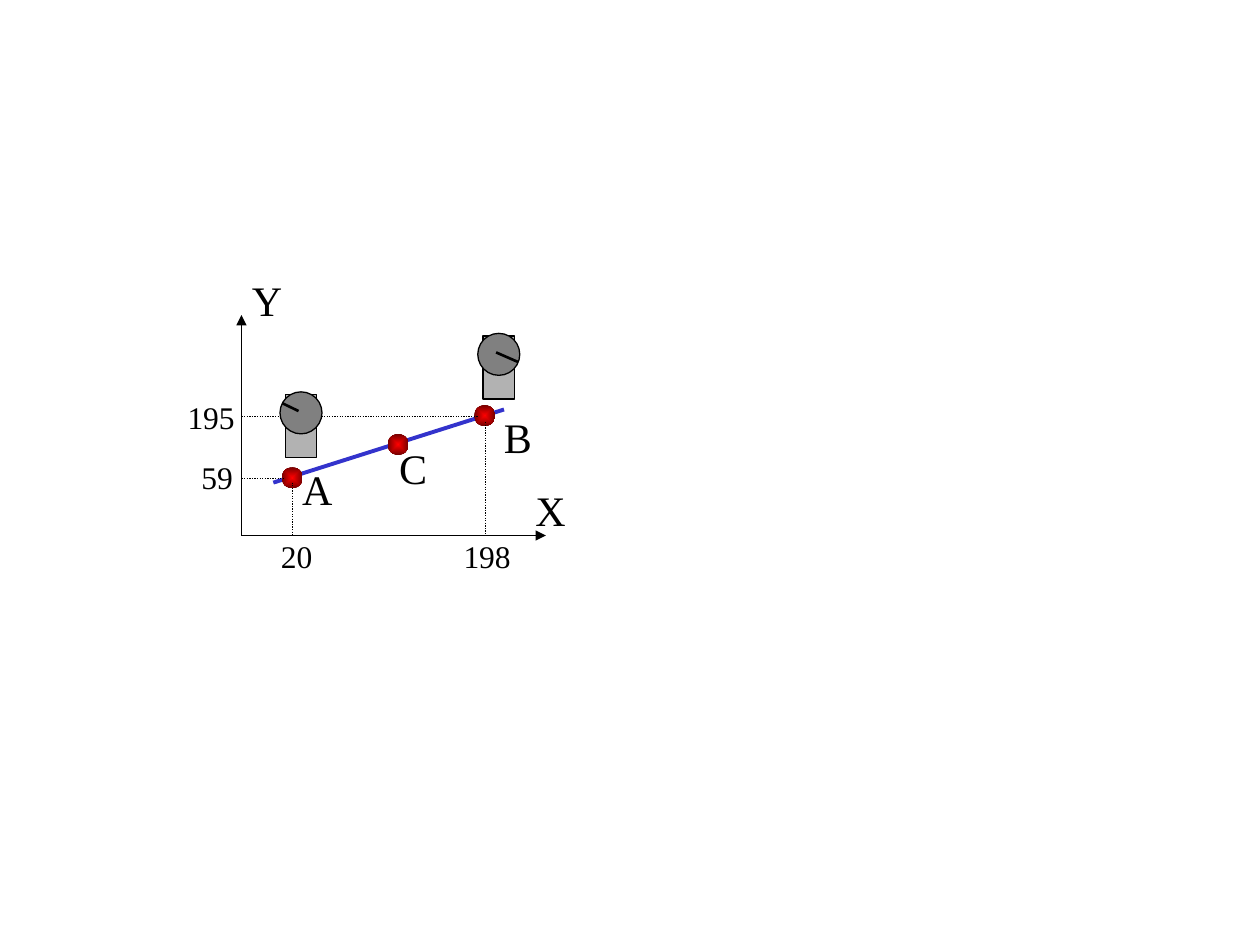
from lxml import etree
from pptx import Presentation
from pptx.dml.color import RGBColor
from pptx.enum.dml import MSO_LINE
from pptx.enum.shapes import MSO_CONNECTOR, MSO_SHAPE
from pptx.enum.text import MSO_AUTO_SIZE
from pptx.oxml.ns import qn
from pptx.util import Pt

STRAIGHT = MSO_CONNECTOR.STRAIGHT
RECT = MSO_SHAPE.RECTANGLE
OVAL = MSO_SHAPE.OVAL
DOTTED = MSO_LINE.ROUND_DOT
FIT = MSO_AUTO_SIZE.SHAPE_TO_FIT_TEXT

FONT = "Times New Roman"
BLACK = "000000"
BLUE = "3333CC"
LEFT, BASE = 138, 306
DOT = 12
DIAL = 24


def paint(color, code):
    color.rgb = RGBColor.from_string(code)


def add_line(slide, start, end, width=0.75, code=BLACK, dash=None, arrow=False):
    line = slide.shapes.add_connector(STRAIGHT, *map(Pt, start + end))
    line.line.width = Pt(width)
    paint(line.line.color, code)
    if dash:
        line.line.dash_style = dash
    if arrow:
        etree.SubElement(line.line._get_or_add_ln(), qn("a:tailEnd"), type="triangle")
    etree.SubElement(line._element.spPr, qn("a:effectLst"))


def add_form(slide, kind, left, top, width, height, code):
    form = slide.shapes.add_shape(kind, Pt(left), Pt(top), Pt(width), Pt(height))
    form.shadow.inherit = False
    form.fill.solid()
    paint(form.fill.fore_color, code)
    form.line.width = Pt(0.75)
    paint(form.line.color, BLACK)
    return form


def add_dot(slide, left, top):
    dot = add_form(slide, OVAL, left, top, DOT, DOT, "FF0000")
    dot.line.fill.background()
    dot.fill.gradient()
    for stop, code in zip(dot.fill.gradient_stops, ("FF0000", "750000")):
        paint(stop.color, code)
    grad = dot._element.spPr.find(qn("a:gradFill"))
    grad.remove(grad.find(qn("a:lin")))
    way = etree.SubElement(grad, qn("a:path"), path="rect")
    etree.SubElement(way, qn("a:fillToRect"), l="50000", t="50000", r="50000", b="50000")


def add_gauge(slide, left, top, start, end):
    add_form(slide, RECT, left, top, 18, 36, "B2B2B2")
    add_form(slide, OVAL, left - 3, top - 1.5, DIAL, DIAL, "808080")
    add_line(slide, start, end, width=1.5)


def add_label(slide, text, left, top, width, size=24):
    box = slide.shapes.add_textbox(Pt(left), Pt(top), Pt(width), Pt(size * 1.2 + 7.2))
    frame = box.text_frame
    frame.word_wrap = False
    frame.auto_size = FIT
    para = frame.paragraphs[0]
    para.text = text
    para.font.name = FONT
    para.font.size = Pt(size)
    paint(para.font.color, BLACK)


def main():
    deck = Presentation()
    deck.slide_width, deck.slide_height = Pt(720), Pt(540)
    slide = deck.slides.add_slide(deck.slide_layouts[6])

    add_line(slide, (156.2, 275.8), (288, 234), 2.25, BLUE)
    for end in ((LEFT, 180), (312, BASE)):
        add_line(slide, (LEFT, BASE), end, arrow=True)
    add_label(slide, "X", 298.8, 273.6, 31.8)
    add_label(slide, "Y", 136.8, 153.4, 31.8)

    add_dot(slide, 161, 267)
    add_dot(slide, 271, 231.5)
    for start, end in (
        ((167, 275.8), (167, BASE)),
        ((277.5, 241.2), (277.5, BASE)),
        ((LEFT, 273.6), (162.7, 273.6)),
        ((LEFT, 238), (272.9, 238)),
    ):
        add_line(slide, start, end, dash=DOTTED)

    add_gauge(slide, 163, 225.4, (161.3, 230.4), (170.6, 234.9))
    add_gauge(slide, 276, 192, (295.9, 206.8), (283.5, 201.4))

    add_label(slide, "A", 165.6, 261.4, 31.8)
    add_label(slide, "B", 280.8, 231.5, 30.5)
    add_dot(slide, 221.5, 248)
    add_label(slide, "C", 221, 249.1, 30.5)
    for text, left, top, width in (
        ("20", 153.4, 303.1, 32.5),
        ("198", 257.8, 303.1, 41.6),
        ("59", 108, 258, 32.5),
        ("195", 100.1, 223.9, 41.6),
    ):
        add_label(slide, text, left, top, width, size=18)

    deck.save("out.pptx")


if __name__ == "__main__":
    main()
